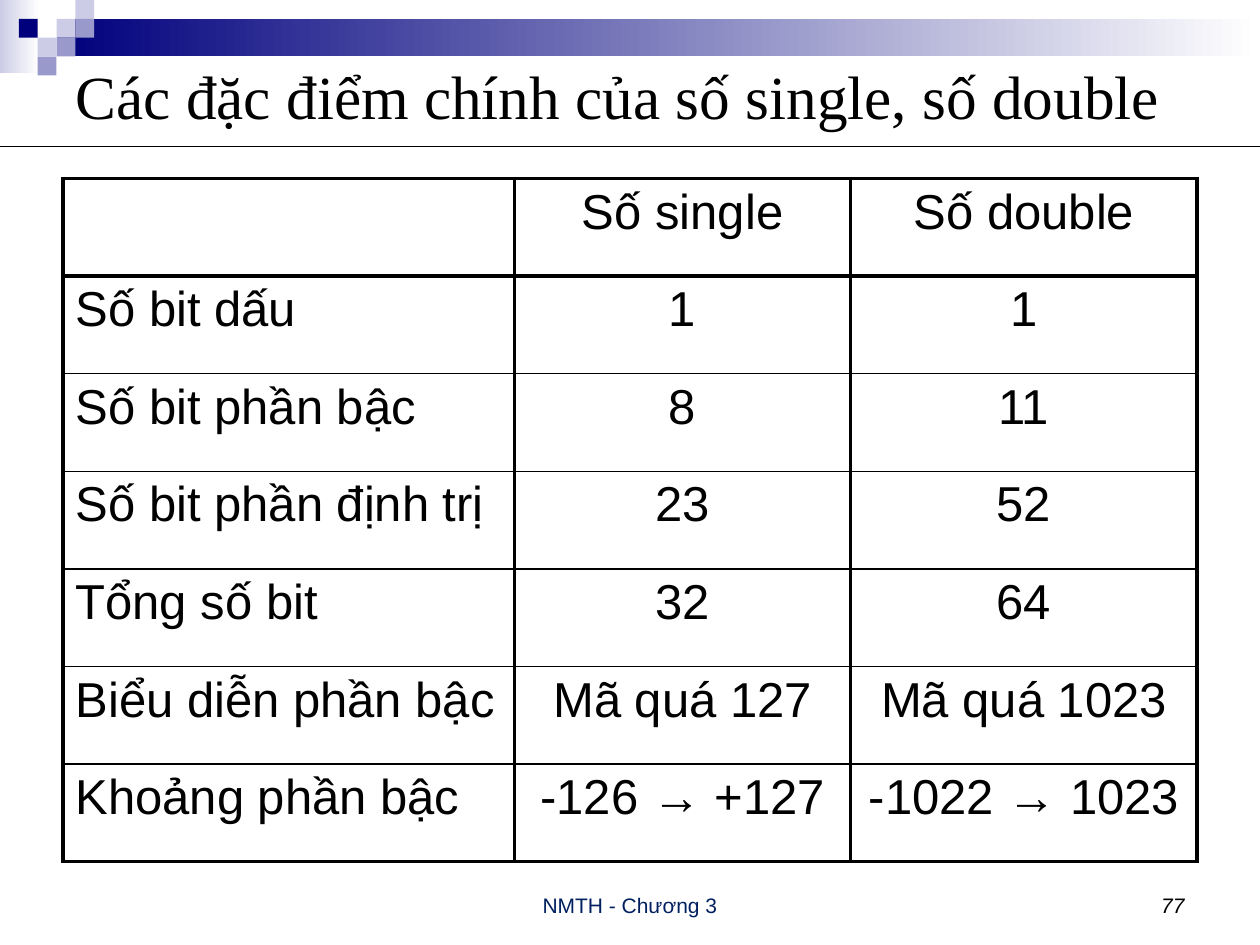
from lxml import etree
from pptx import Presentation
from pptx import util as u
from pptx.dml.color import RGBColor
from pptx.enum import shapes, text
from pptx.oxml.ns import qn

NAVY = RGBColor(0x00, 0x00, 0x7D)
LAVENDER = RGBColor(0xCC, 0xCC, 0xE6)
PERIWINKLE = RGBColor(0x99, 0x99, 0xCC)
WHITE = RGBColor(0xFF, 0xFF, 0xFF)
BLACK = RGBColor(0x00, 0x00, 0x00)
FOOTER_BLUE = RGBColor(0x00, 0x20, 0x60)

SQUARE = 0.38
# column, row and colour of each square on the corner grid
CORNER_SQUARES = [
    (3, 1, LAVENDER), (4, 0, LAVENDER), (4, 1, PERIWINKLE), (2, 2, LAVENDER),
    (1, 1, NAVY), (3, 2, PERIWINKLE), (2, 3, PERIWINKLE),
]

COLUMN_WIDTHS = [9.1, 6.78, 6.98]
TABLE_HEIGHT = 13.77
ROWS = [
    ("", "Số single", "Số double"),
    ("Số bit dấu", "1", "1"),
    ("Số bit phần bậc", "8", "11"),
    ("Số bit phần định trị", "23", "52"),
    ("Tổng số bit", "32", "64"),
    ("Biểu diễn phần bậc", "Mã quá 127", "Mã quá 1023"),
    ("Khoảng phần bậc", "-126 → +127", "-1022 → 1023"),
]
THICK, THIN = 2.25, 1


class SlideBuilder:
    body_font = "Arial"
    title_font = "Times New Roman"

    def __init__(self, presentation):
        self.slide = presentation.slides.add_slide(presentation.slide_layouts[5])

    def add_text(self, paragraph, words, size, color=BLACK, font=None,
                 align=text.PP_ALIGN.LEFT, italic=False):
        paragraph.alignment = align
        run = paragraph.add_run()
        run.text = words
        run.font.name = font or self.body_font
        run.font.size = u.Pt(size)
        run.font.italic = italic
        run.font.color.rgb = color

    def rectangle(self, left, top, width, height, color, fade_to=None):
        """Add a borderless rectangle, fading left to right if fade_to is given."""
        shape = self.slide.shapes.add_shape(
            shapes.MSO_SHAPE.RECTANGLE,
            u.Cm(left), u.Cm(top), u.Cm(width), u.Cm(height))
        shape.shadow.inherit = False
        shape.line.fill.background()
        if fade_to is None:
            shape.fill.solid()
            shape.fill.fore_color.rgb = color
        else:
            shape.fill.gradient()
            shape.fill.gradient_angle = 0
            for stop, stop_color in zip(shape.fill.gradient_stops, (color, fade_to)):
                stop.color.rgb = stop_color

    def title(self, words, left, top, width, height):
        shape = self.slide.shapes.title
        shape.left, shape.top = u.Cm(left), u.Cm(top)
        shape.width, shape.height = u.Cm(width), u.Cm(height)
        frame = shape.text_frame
        frame.auto_size = text.MSO_AUTO_SIZE.NONE
        frame.vertical_anchor = text.MSO_ANCHOR.MIDDLE
        self.add_text(frame.paragraphs[0], words, 35, font=self.title_font)

    def rule(self, top, width):
        line = self.slide.shapes.add_connector(
            shapes.MSO_CONNECTOR.STRAIGHT, 0, u.Cm(top), u.Cm(width), u.Cm(top))
        line.line.color.rgb = BLACK
        line.line.width = u.Pt(0.75)
        etree.SubElement(line.element.spPr, qn("a:effectLst"))

    def text_box(self, words, left, top, width, height, **style):
        frame = self.slide.shapes.add_textbox(
            u.Cm(left), u.Cm(top), u.Cm(width), u.Cm(height)).text_frame
        frame.word_wrap = True
        frame.vertical_anchor = text.MSO_ANCHOR.BOTTOM
        self.add_text(frame.paragraphs[0], words, 12, **style)

    def border(self, cell, top, bottom):
        """Draw thick sides, and top and bottom edges of the given widths."""
        properties = cell._tc.get_or_add_tcPr()
        for side, width in (("L", THICK), ("R", THICK), ("T", top), ("B", bottom)):
            line = etree.SubElement(properties, qn(f"a:ln{side}"), w=str(u.Pt(width)))
            fill = etree.SubElement(line, qn("a:solidFill"))
            etree.SubElement(fill, qn("a:srgbClr"), val=str(BLACK))

    def table(self, rows, left, top, widths, height):
        table = self.slide.shapes.add_table(
            len(rows), len(widths), u.Cm(left), u.Cm(top),
            u.Cm(sum(widths)), u.Cm(height)).table
        table.first_row = table.horz_banding = False
        for column, width in zip(table.columns, widths):
            column.width = u.Cm(width)
        last = len(rows) - 1
        for row_index, row in enumerate(rows):
            table.rows[row_index].height = u.Cm(height / len(rows))
            top_width = THICK if row_index <= 1 else THIN
            bottom_width = THICK if row_index in (0, last) else THIN
            for column_index, words in enumerate(row):
                cell = table.cell(row_index, column_index)
                self.border(cell, top_width, bottom_width)
                cell.fill.background()
                if words:
                    align = text.PP_ALIGN.CENTER if column_index else text.PP_ALIGN.LEFT
                    self.add_text(cell.text_frame.paragraphs[0], words, 28, align=align)


def main():
    presentation = Presentation()
    presentation.slide_width, presentation.slide_height = u.Cm(25.4), u.Cm(19.05)
    builder = SlideBuilder(presentation)

    builder.rectangle(0, 0, 0.79, 1.47, LAVENDER, fade_to=WHITE)
    builder.rectangle(1.14, SQUARE, 24.26, 2 * SQUARE, NAVY, fade_to=WHITE)
    for column, row, color in CORNER_SQUARES:
        builder.rectangle(column * SQUARE, row * SQUARE, SQUARE, SQUARE, color)

    builder.title("Các đặc điểm chính của số single, số double", 1.27, 1.27, 22.86, 1.27)
    builder.rule(2.96, 25.4)
    builder.table(ROWS, 1.27, 3.6, COLUMN_WIDTHS, TABLE_HEIGHT)
    builder.text_box("NMTH - Chương 3", 8.68, 17.36, 8.04, 1.27,
                     color=FOOTER_BLUE, align=text.PP_ALIGN.CENTER)
    builder.text_box("77", 18.2, 17.36, 5.93, 1.27,
                     align=text.PP_ALIGN.RIGHT, italic=True)
    presentation.save("out.pptx")


if __name__ == "__main__":
    main()
